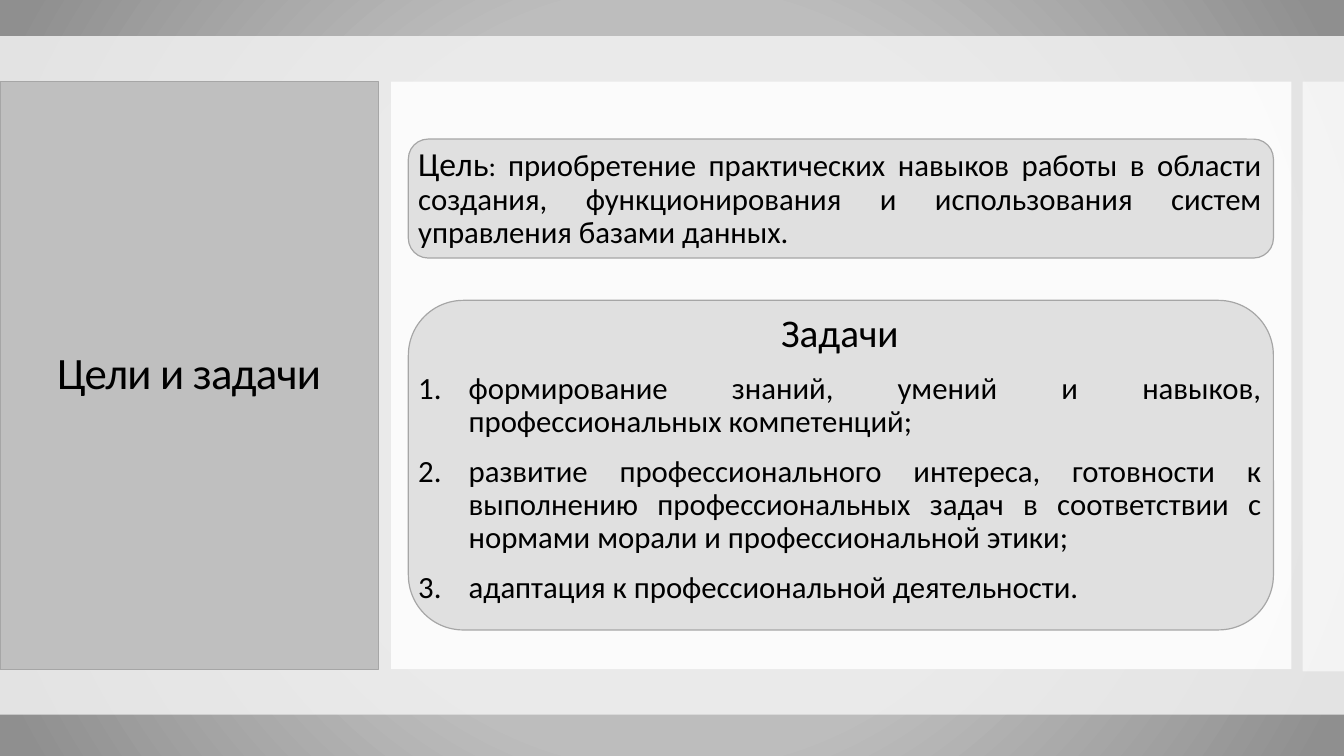
from dataclasses import dataclass

from lxml.etree import SubElement
from pptx import Presentation
from pptx.dml.color import RGBColor
from pptx.enum.shapes import MSO_SHAPE
from pptx.enum.text import MSO_ANCHOR, PP_ALIGN
from pptx.oxml import parse_xml
from pptx.oxml.ns import nsdecls, qn
from pptx.util import Inches, Pt


@dataclass(frozen=True)
class Theme:
    """Colours, font and type sizes of the slide."""
    font: str = "Calibri"
    text: str = "000000"
    band: str = "F2F2F2"
    panel: str = "FFFFFF"
    title_fill: str = "BFBFBF"
    card: str = "E0E0E0"
    border: str = "A6A6A6"
    gradient: tuple = ((0, "BFBFBF"), (49, "BDBDBD"), (97, "8F8F8F"))
    title_size: int = 32
    heading_size: int = 28
    lead_size: int = 24
    body_size: int = 22
    colon_size: int = 20


T = Theme()
PANEL_TOP, PANEL_H = 0.81, 5.83
CARD_X, CARD_W, TEXT_W = 4.05, 8.58, 8.56
INDENT = 0.5
GOAL = [
    ("Цель", T.lead_size),
    (": ", T.colon_size),
    ("приобретение практических навыков работы в области создания, "
     "функционирования и использования систем управления базами данных.", T.body_size),
]
TASKS = [
    "формирование знаний, умений и навыков, профессиональных компетенций;",
    "развитие профессионального интереса, готовности к выполнению профессиональных "
    "задач в соответствии с нормами морали и профессиональной этики;",
    "адаптация к профессиональной деятельности.",
]
BODY = {"alignment": PP_ALIGN.JUSTIFY, "line_spacing": 0.9, "space_before": Pt(12)}
HEADING = {"alignment": PP_ALIGN.CENTER, "line_spacing": 1.0, "space_before": Pt(0)}
TITLE = {**HEADING, "line_spacing": 0.9}


def apply(obj, formats):
    """Set each attribute of obj from a dict of format values."""
    for name, value in formats.items():
        setattr(obj, name, value)


def set_background(s):
    """Fill the slide with a circular gradient around its centre."""
    s.background.fill.solid()
    solid = s.element.xpath(".//p:bgPr/a:solidFill")[0]
    stops = "".join(f'<a:gs pos="{pos * 1000}"><a:srgbClr val="{color}"/></a:gs>'
                    for pos, color in T.gradient)
    grad = parse_xml(
        f'<a:gradFill {nsdecls("a")} rotWithShape="1"><a:gsLst>{stops}</a:gsLst>'
        '<a:path path="circle"><a:fillToRect l="50000" t="50000" r="50000" b="50000"/>'
        '</a:path></a:gradFill>')
    solid.getparent().replace(solid, grad)


def paint(sp, fill, border_width=None):
    """Give a shape a solid fill and an optional border."""
    sp.fill.solid()
    sp.fill.fore_color.rgb = RGBColor.from_string(fill)
    if border_width is None:
        sp.line.fill.background()
    else:
        sp.line.color.rgb = RGBColor.from_string(T.border)
        sp.line.width = Pt(border_width)


def add_panel(s, box, fill, alpha):
    """Add a translucent rectangle without a border."""
    sp = s.shapes.add_shape(MSO_SHAPE.RECTANGLE, *map(Inches, box))
    sp.shadow.inherit = False
    paint(sp, fill)
    color = sp.element.spPr.find(qn("a:solidFill"))[0]
    SubElement(color, qn("a:alpha"), val=str(alpha * 1000))


def add_card(s, top, height):
    """Add a bordered rounded card."""
    box = (CARD_X, top, CARD_W, height)
    sp = s.shapes.add_shape(MSO_SHAPE.ROUNDED_RECTANGLE, *map(Inches, box))
    sp.shadow.inherit = False
    paint(sp, T.card, 0.85)


def write(p, runs, formats):
    """Fill a paragraph with sized runs and return them."""
    apply(p, formats)
    for text, size in runs:
        r = p.add_run()
        r.text = text
        apply(r.font, {"name": T.font, "size": Pt(size)})
        r.font.color.rgb = RGBColor.from_string(T.text)
    return p.runs


def number(p):
    """Turn a paragraph into an automatically numbered item."""
    pPr = p._p.get_or_add_pPr()
    pPr.set("marL", str(Inches(INDENT)))
    pPr.set("indent", str(-Inches(INDENT)))
    SubElement(pPr, qn("a:buFont"), typeface="+mj-lt")
    SubElement(pPr, qn("a:buAutoNum"), type="arabicPeriod")


def add_text(s, top, height):
    """Add a wrapped, vertically centred text frame over a card."""
    tb = s.shapes.add_textbox(*map(Inches, (CARD_X, top, TEXT_W, height)))
    tf = tb.text_frame
    apply(tf, {"word_wrap": True, "vertical_anchor": MSO_ANCHOR.MIDDLE})
    return tf


def add_title(s, text):
    """Place the title placeholder as the left panel, above the band."""
    sp = s.shapes.title
    apply(sp, {"left": Inches(0), "top": Inches(PANEL_TOP),
               "width": Inches(3.75), "height": Inches(PANEL_H)})
    paint(sp, T.title_fill, 0.75)
    sp.text_frame.vertical_anchor = MSO_ANCHOR.MIDDLE
    r = write(sp.text_frame.paragraphs[0], [(text, T.title_size)], TITLE)[0]
    r.font._element.set("spc", "-60")
    sp.element.getparent().append(sp.element)


def add_goal(s):
    """Add the card with the goal."""
    add_card(s, 1.38, 1.18)
    write(add_text(s, 1.38, 1.18).paragraphs[0], GOAL, BODY)


def add_tasks(s):
    """Add the card with the numbered tasks."""
    add_card(s, 2.98, 3.27)
    tf = add_text(s, 2.81, 3.45)
    write(tf.paragraphs[0], [("Задачи", T.heading_size)], HEADING)
    for task in TASKS:
        p = tf.add_paragraph()
        write(p, [(task, T.body_size)], BODY)
        number(p)


def main():
    """Build and save the slide."""
    prs = Presentation()
    apply(prs, {"slide_width": Inches(13.33), "slide_height": Inches(7.5)})
    s = prs.slides.add_slide(prs.slide_layouts.get_by_name("Title Only"))
    set_background(s)
    add_panel(s, (0, 0.36, 13.33, 6.73), T.band, 85)
    add_panel(s, (3.88, PANEL_TOP, 8.93, PANEL_H), T.panel, 85)
    add_panel(s, (12.92, PANEL_TOP, 0.41, 5.85), T.panel, 60)
    add_title(s, "Цели и задачи")
    add_goal(s)
    add_tasks(s)
    prs.save("out.pptx")


main()
